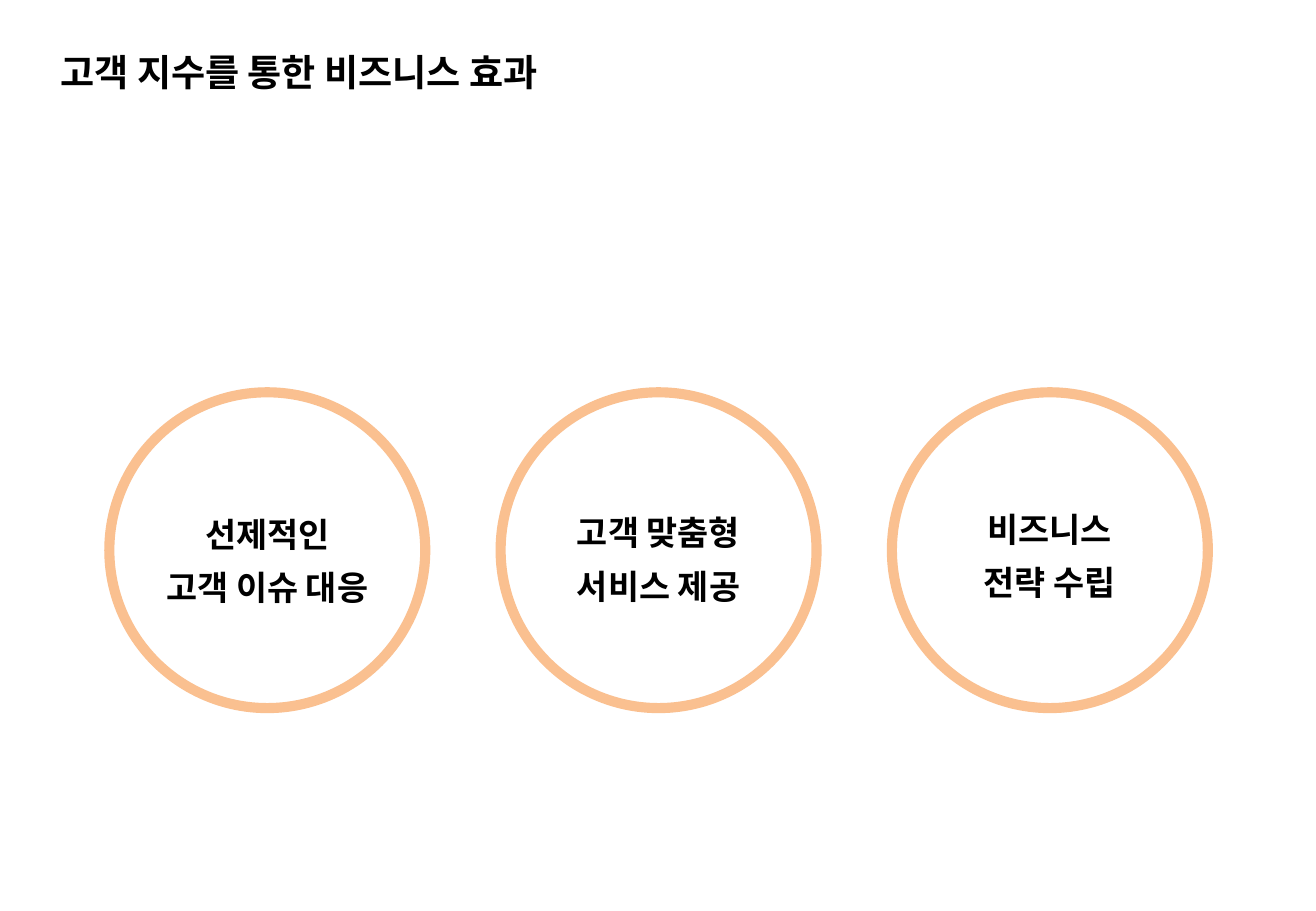
from dataclasses import dataclass

from lxml.etree import SubElement
from pptx import Presentation
from pptx.dml.color import RGBColor
from pptx.enum.shapes import MSO_SHAPE
from pptx.enum.text import MSO_AUTO_SIZE, PP_ALIGN
from pptx.oxml.ns import qn
from pptx.slide import Slide
from pptx.util import Inches, Pt

WIDE, HIGH = 10.83, 7.5
LEFT, PITCH, RING = 0.9, 3.22, 2.6
RING_TOP = 3.23
TEXT_WIDE, TEXT_HIGH = 2.06, 0.92


@dataclass(frozen=True)
class Theme:
    font: str = "Noto Sans CJK KR"
    ink: RGBColor = RGBColor(0, 0, 0)
    ring: RGBColor = RGBColor(0xFA, 0xC0, 0x90)
    title: int = 22
    label: int = 20
    line: int = 6


@dataclass(frozen=True)
class Effect:
    col: int
    top: float
    lines: tuple[str, ...]


THEME = Theme()
EFFECTS = (
    Effect(0, 4.11, ("선제적인", "고객 이슈 대응")),
    Effect(1, 4.10, ("고객 맞춤형", "서비스 제공")),
    Effect(2, 4.07, ("비즈니스", "전략 수립")),
)


def add_text(slide: Slide, box: tuple[float, ...], lines: tuple[str, ...],
             size: int, label: bool = False) -> None:
    """Write one paragraph per line; labels are centred and more open."""
    frame = slide.shapes.add_textbox(*map(Inches, box)).text_frame
    frame.word_wrap = True
    frame.auto_size = MSO_AUTO_SIZE.SHAPE_TO_FIT_TEXT
    for row, line in enumerate(lines):
        para = frame.add_paragraph() if row else frame.paragraphs[0]
        if label:
            para.alignment = PP_ALIGN.CENTER
            para.line_spacing = 1.2
        if row:
            para.space_before = Pt(3)
        run = para.add_run()
        run.text = line
        font = run.font
        font.name, font.size, font.bold = THEME.font, Pt(size), True
        font.color.rgb = THEME.ink
        SubElement(run._r.get_or_add_rPr(), qn("a:ea"), typeface=THEME.font)


def add_ring(slide: Slide, left: float) -> None:
    ring = slide.shapes.add_shape(
        MSO_SHAPE.OVAL, *map(Inches, (left, RING_TOP, RING, RING)))
    ring.shadow.inherit = False
    ring.fill.background()
    ring.line.color.rgb = THEME.ring
    ring.line.width = Pt(THEME.line)


def add_effect(slide: Slide, effect: Effect) -> None:
    left = LEFT + effect.col * PITCH
    add_ring(slide, left)
    inset = (RING - TEXT_WIDE) / 2
    box = (left + inset, effect.top, TEXT_WIDE, TEXT_HIGH)
    add_text(slide, box, effect.lines, THEME.label, label=True)


def main() -> None:
    deck = Presentation()
    deck.slide_width, deck.slide_height = Inches(WIDE), Inches(HIGH)
    slide = deck.slides.add_slide(deck.slide_layouts[6])
    add_text(slide, (0.4, 0.36, WIDE / 2, 0.47),
             ("고객 지수를 통한 비즈니스 효과",), THEME.title)
    for effect in EFFECTS:
        add_effect(slide, effect)
    deck.save("out.pptx")


if __name__ == "__main__":
    main()
